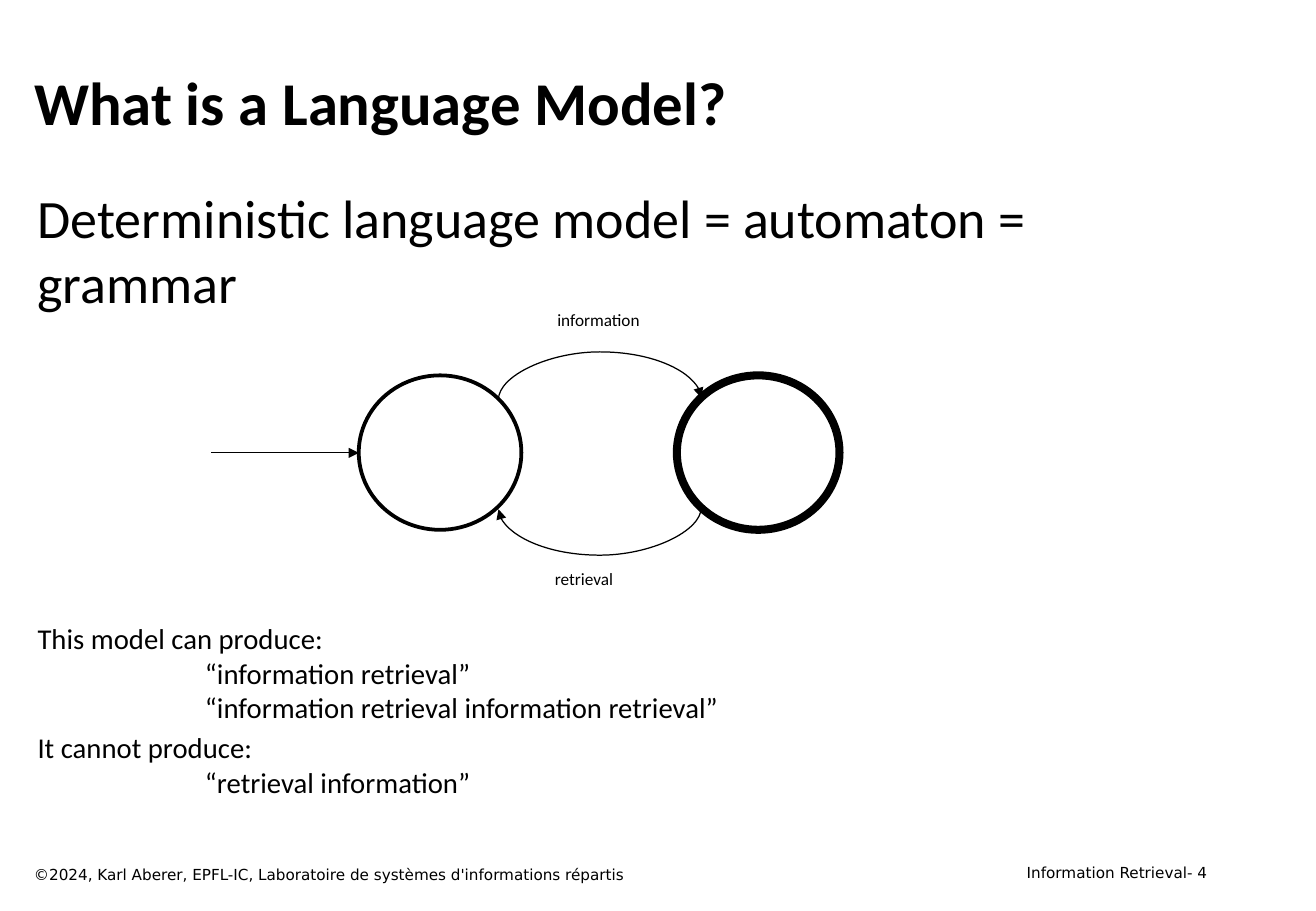
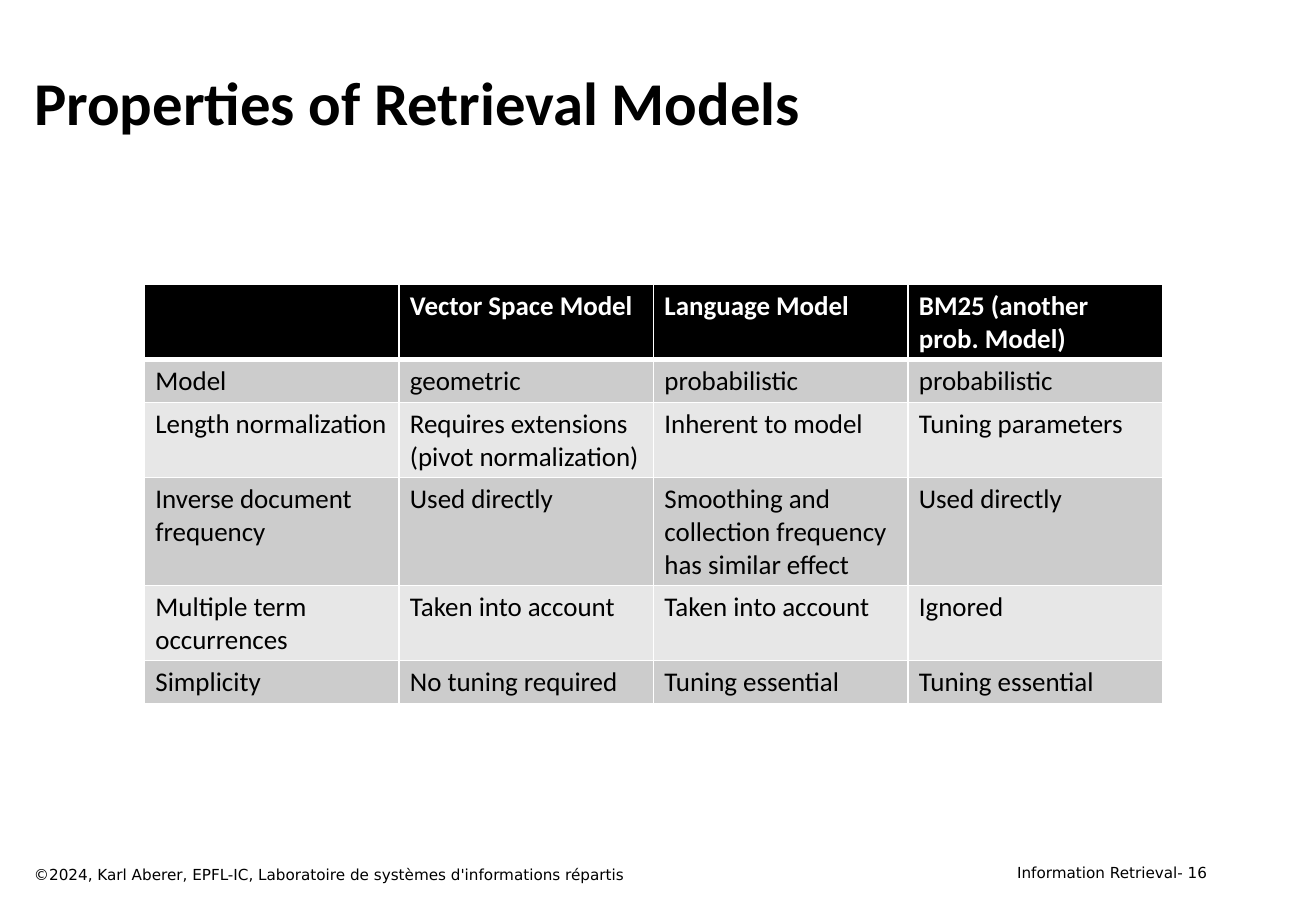
from pptx import Presentation
from pptx.dml.color import RGBColor
from pptx.enum.shapes import MSO_CONNECTOR as Link, MSO_SHAPE as Form
from pptx.enum.text import MSO_ANCHOR as Anchor, MSO_AUTO_SIZE as Fit, PP_ALIGN as Align
from pptx.oxml.ns import qn
from pptx.util import Cm, Pt
from lxml.etree import SubElement as Sub

BLACK = RGBColor(0x00, 0x00, 0x00)
WHITE = RGBColor(0xFF, 0xFF, 0xFF)
DARK = RGBColor(0xCC, 0xCC, 0xCC)
LIGHT = RGBColor(0xE7, 0xE7, 0xE7)


class Deck:
    """Holds the shared style and the current slide."""

    font = "Calibri"
    small = "DejaVu Sans"
    owner = "©2024, Karl Aberer, EPFL-IC, Laboratoire de systèmes d'informations répartis"
    topic = "Information Retrieval- "

    def __init__(self):
        self.prs = Presentation()
        self.prs.slide_width, self.prs.slide_height = Cm(27.51), Cm(19.05)

    def start(self, kind, title, page):
        self.slide = self.prs.slides.add_slide(self.prs.slide_layouts[kind])
        self.shapes = self.slide.shapes
        frame = self.place(self.shapes.title, (0.46, 0.84, 25, 2.54), Anchor.MIDDLE)
        para = frame.paragraphs[0]
        para.alignment = Align.LEFT
        self.run(para, title, 36, bold=True)
        self.label((0.46, 17.98, 17.65, 0.64), self.owner, 9, self.small)
        self.label((19.74, 17.93, 5.74, 0.64), f"{self.topic}{page}", 9, self.small, Align.RIGHT)

    def place(self, hold, box, anchor):
        hold.left, hold.top, hold.width, hold.height = map(Cm, box)
        frame = hold.text_frame
        frame.auto_size = Fit.NONE
        frame.vertical_anchor = anchor
        return frame

    def run(self, para, text, size, font=None, color=BLACK, bold=False):
        run = para.add_run()
        run.text = text
        face = run.font
        face.name, face.size, face.bold = font or self.font, Pt(size), bold
        face.color.rgb = color

    def label(self, box, text, size, font=None, align=Align.LEFT, wrap=True):
        frame = self.shapes.add_textbox(*map(Cm, box)).text_frame
        frame.word_wrap = wrap
        para = frame.paragraphs[0]
        para.alignment = align
        self.run(para, text, size, font)

    def body(self, items):
        frame = self.place(self.slide.placeholders[1], (0.53, 3.73, 25, 13.97), Anchor.TOP)
        for i, (text, size, left, gap) in enumerate(items):
            para = frame.add_paragraph() if i else frame.paragraphs[0]
            props = para._p.get_or_add_pPr()
            props.set("marL", str(Cm(left)))
            props.set("indent", "0")
            Sub(props, qn("a:buNone"))
            para.space_before = Pt(gap)
            self.run(para, text, size)

    def node(self, left, weight):
        node = self.shapes.add_shape(Form.OVAL, Cm(left), Cm(7.85), Cm(3.4), Cm(3.23))
        node.shadow.inherit = False
        node.fill.solid()
        node.fill.fore_color.rgb = WHITE
        node.line.color.rgb = BLACK
        node.line.width = Pt(weight)

    def arrow(self, kind, *ends):
        link = self.shapes.add_connector(kind, *map(Cm, ends))
        link.line.color.rgb = BLACK
        link.line.width = Pt(0.75)
        Sub(link.line._ln, qn("a:tailEnd"), type="triangle")
        Sub(link._element.spPr, qn("a:effectLst"))
        return link

    def arc(self, x, y, side):
        dx, dy, bulge = 0.02 * side, 2.12 * side, 1
        link = self.arrow(Link.CURVE, x + dx, y + dy, x - dx, y - dy)
        props = link._element.spPr
        props.find(qn("a:xfrm")).set("rot", str(90 * 60000))
        geom = props.find(qn("a:prstGeom"))
        list_ = geom.find(qn("a:avLst"))
        if list_ is None:
            list_ = Sub(geom, qn("a:avLst"))
        ratio = round(bulge / abs(2 * dx) * 100000)
        Sub(list_, qn("a:gd"), name="adj1", fmla=f"val {ratio}")

    def edge(self, cell, row):
        props = cell._tc.get_or_add_tcPr()
        for side in "LRTB":
            thick = (row, side) in ((0, "B"), (1, "T"))
            line = Sub(props, qn(f"a:ln{side}"), w=str(Pt(3 if thick else 1)))
            fill = Sub(line, qn("a:solidFill"))
            Sub(fill, qn("a:srgbClr"), val=str(WHITE))

    def table(self, left, top, wide, highs, rows):
        count = len(rows[0])
        grid = self.shapes.add_table(len(rows), count, Cm(left), Cm(top),
                                     Cm(wide * count), Cm(sum(highs))).table
        for col in grid.columns:
            col.width = Cm(wide)
        for r, texts in enumerate(rows):
            grid.rows[r].height = Cm(highs[r])
            head = r == 0
            for c, text in enumerate(texts):
                cell = grid.cell(r, c)
                self.edge(cell, r)
                cell.margin_left = cell.margin_right = Cm(0.23)
                cell.margin_top = cell.margin_bottom = Cm(0.11)
                cell.fill.solid()
                cell.fill.fore_color.rgb = BLACK if head else DARK if r % 2 else LIGHT
                if text:
                    self.run(cell.text_frame.paragraphs[0], text, 16,
                             color=WHITE if head else BLACK, bold=head)


def main():
    deck = Deck()

    deck.start(1, "What is a Language Model?", 4)
    deck.body([
        ("Deterministic language model = automaton = grammar", 32, 0, 0),
        ("This model can produce:", 17, 0, 182),
        ("“information retrieval”", 17, 3.5, 0),
        ("“information retrieval information retrieval”", 17, 3.5, 0),
        ("It cannot produce:", 17, 0, 3.4),
        ("“retrieval information”", 17, 3.5, 0),
    ])
    deck.node(7.5, 2.25)
    deck.node(14.15, 4.75)
    deck.arrow(Link.STRAIGHT, 4.42, 9.47, 7.5, 9.47)
    deck.arc(12.54, 8.34, 1)
    deck.arc(12.54, 10.63, -1)
    deck.label((11.4, 6.35, 2.26, 0.69), "information", 10.2, wrap=False)
    deck.label((11.35, 11.76, 1.75, 0.69), "retrieval", 10.2, wrap=False)

    deck.start(5, "Properties of Retrieval Models", 16)
    deck.table(3.02, 5.94, 5.32, (1.55, 0.89, 1.55, 2.21, 1.55, 0.89), [
        ("", "Vector Space Model", "Language Model", "BM25 (another prob. Model)"),
        ("Model", "geometric", "probabilistic", "probabilistic"),
        ("Length normalization", "Requires extensions (pivot normalization)",
         "Inherent to model", "Tuning parameters"),
        ("Inverse document frequency", "Used directly",
         "Smoothing and collection frequency has similar effect", "Used directly"),
        ("Multiple term occurrences", "Taken into account", "Taken into account", "Ignored"),
        ("Simplicity", "No tuning required", "Tuning essential", "Tuning essential"),
    ])

    deck.prs.save("out.pptx")


if __name__ == "__main__":
    main()
